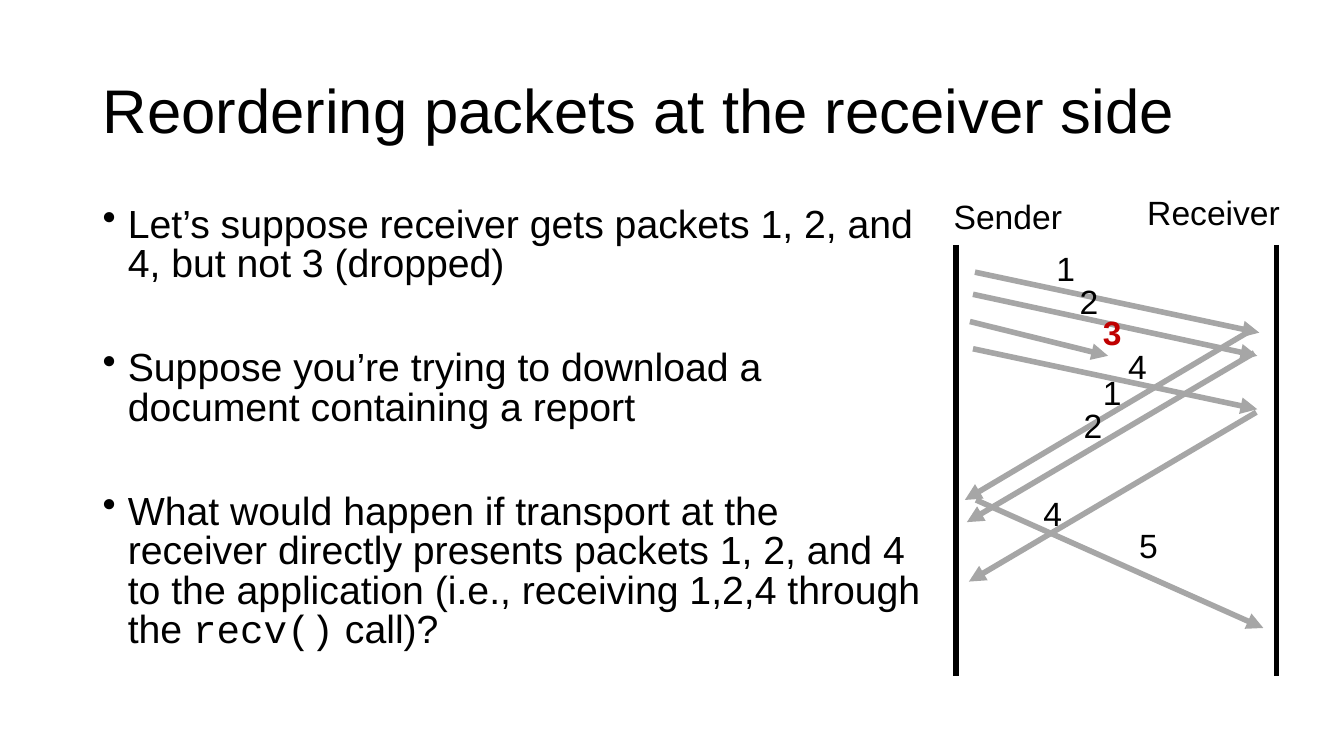
from lxml import etree
from pptx import Presentation
from pptx.dml.color import RGBColor
from pptx.enum.shapes import MSO_CONNECTOR
from pptx.enum.text import MSO_ANCHOR
from pptx.oxml.ns import qn
from pptx.util import Emu, Pt

STRAIGHT = MSO_CONNECTOR.STRAIGHT
TOP, MIDDLE = MSO_ANCHOR.TOP, MSO_ANCHOR.MIDDLE

BLACK = RGBColor(0x00, 0x00, 0x00)
GRAY = RGBColor(0xA6, 0xA6, 0xA6)
RED = RGBColor(0xC0, 0x00, 0x00)

SANS, MONO = "Arial", "Courier New"
EMU_PER_PX = 9144  # 100 px to the inch

TITLE = "Reordering packets at the receiver side"
POINTS = [
    [("Let’s suppose receiver gets packets 1, 2, and 4, but not 3 (dropped)", SANS)],
    [("Suppose you’re trying to download a document containing a report", SANS)],
    [("What would happen if transport at the receiver directly presents packets "
      "1, 2, and 4 to the application (i.e., receiving 1,2,4 through the ", SANS),
     ("recv()", MONO),
     (" call)?", SANS)],
]

SENDER_X, RECEIVER_X = 948, 1266
TIMELINE_TOP, TIMELINE_BOTTOM = 243, 671

PACKETS = [
    (967, 270, 1249, 330),
    (965, 292, 1247, 353),
    (962, 319, 1099, 353),  # packet 3 is dropped on the way
    (965, 346, 1247, 406),
    (968, 496, 1253, 623),
]
ACKS = [
    (1242, 327, 957, 496),
    (1244, 350, 959, 518),
    (1246, 409, 961, 577),
]
NUMBERS = [
    ("1", 1038, 241), ("2", 1061, 274), ("3", 1084, 305), ("4", 1109, 338),
    ("1", 1084, 364), ("2", 1065, 397), ("4", 1025, 484), ("5", 1120, 516),
]
DROPPED = "3"


def px(length):
    return Emu(length * EMU_PER_PX)


def add_bullet(paragraph):
    properties = paragraph._p.get_or_add_pPr()
    properties.set("marL", str(px(25)))
    properties.set("indent", str(px(-25)))
    etree.SubElement(properties, qn("a:buChar")).set("char", "•")


def add_text(slide, text, left, top, width, height, *, size=24, color=BLACK,
             bold=False, anchor=TOP, line_spacing=1.0, gap=0, bullets=False):
    """Add a text box; text is a string or a list of paragraphs of (words, font)."""
    paragraphs = [[(text, SANS)]] if isinstance(text, str) else text
    frame = slide.shapes.add_textbox(px(left), px(top), px(width), px(height)).text_frame
    frame.word_wrap = True
    frame.vertical_anchor = anchor
    for index, pieces in enumerate(paragraphs):
        paragraph = frame.add_paragraph() if index else frame.paragraphs[0]
        if bullets:
            add_bullet(paragraph)
        paragraph.line_spacing = line_spacing
        paragraph.space_before = Pt(gap if index else 0)
        for words, font_name in pieces:
            run = paragraph.add_run()
            run.text = words
            run.font.name = font_name
            run.font.size = Pt(size)
            run.font.bold = bold
            run.font.color.rgb = color


def add_line(slide, x1, y1, x2, y2, color, arrow=False):
    connector = slide.shapes.add_connector(STRAIGHT, px(x1), px(y1), px(x2), px(y2))
    connector.line.color.rgb = color
    connector.line.width = Pt(4)
    if arrow:
        outline = connector.line._get_or_add_ln()
        etree.SubElement(outline, qn("a:tailEnd")).set("type", "triangle")
    etree.SubElement(connector._element.spPr, qn("a:effectLst"))


def add_sequence_diagram(slide):
    for x in (SENDER_X, RECEIVER_X):
        add_line(slide, x, TIMELINE_TOP, x, TIMELINE_BOTTOM, BLACK)
    add_text(slide, "Sender", 936, 189, 151, 50)
    add_text(slide, "Receiver", 1128, 185, 168, 50)
    for ends in PACKETS + ACKS:
        add_line(slide, *ends, GRAY, arrow=True)
    for number, left, top in NUMBERS:
        dropped = number == DROPPED
        add_text(slide, number, left, top, 74, 50,
                 color=RED if dropped else BLACK, bold=dropped)


def main():
    deck = Presentation()
    deck.slide_width, deck.slide_height = px(1333), px(750)
    slide = deck.slides.add_slide(deck.slide_layouts[6])
    add_text(slide, TITLE, 92, 40, 1150, 145, size=44, anchor=MIDDLE, line_spacing=0.9)
    add_text(slide, POINTS, 92, 200, 833, 476, size=28, line_spacing=0.84,
             gap=46, bullets=True)
    add_sequence_diagram(slide)
    deck.save("out.pptx")


if __name__ == "__main__":
    main()
